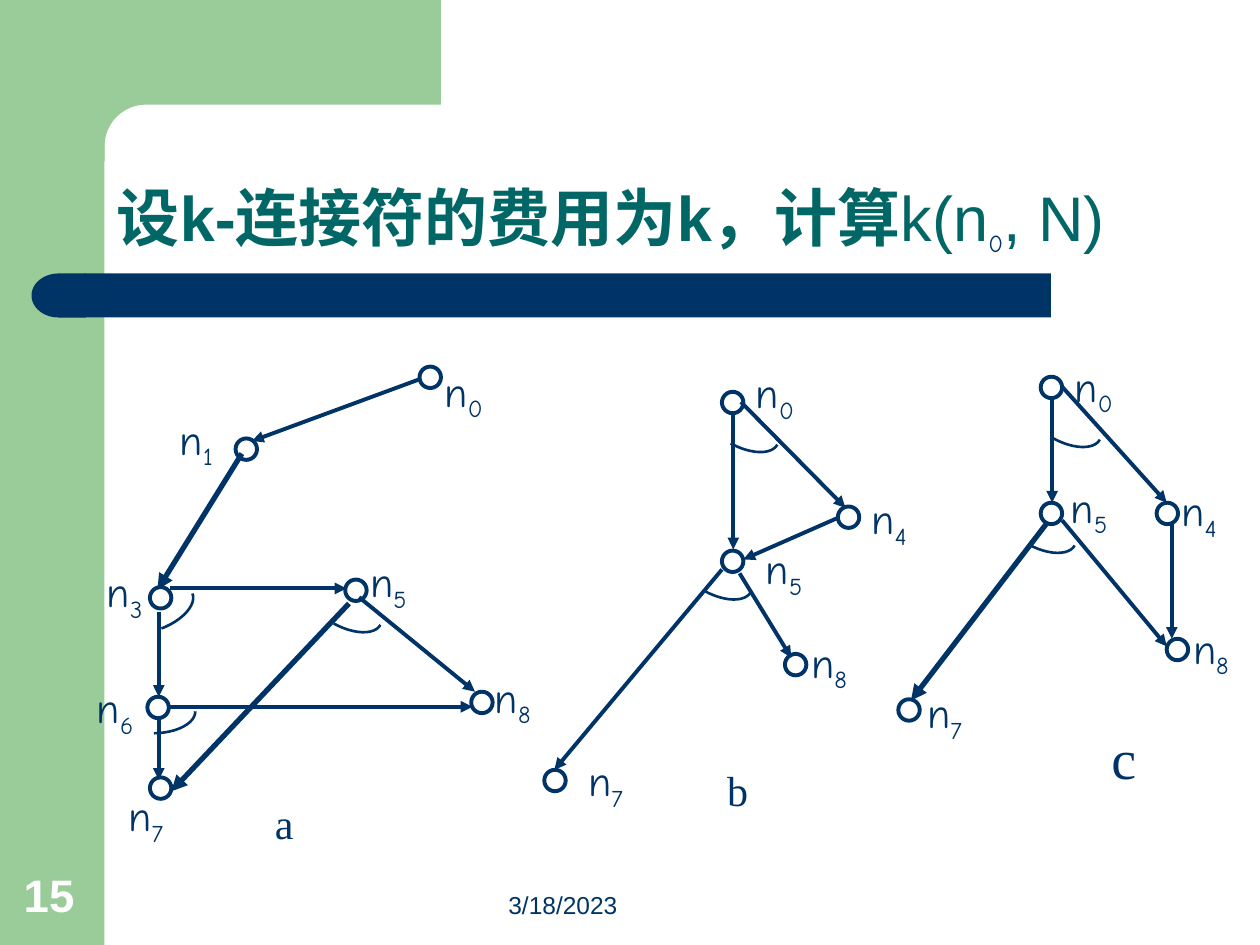
from math import cos, pi, sin

from lxml.etree import SubElement
from pptx import Presentation
from pptx.dml.color import RGBColor
from pptx.enum.shapes import MSO_CONNECTOR as Link, MSO_SHAPE as Kind
from pptx.enum.text import MSO_ANCHOR as Anchor, MSO_AUTO_SIZE as Fit, PP_ALIGN as Align
from pptx.oxml.ns import qn
from pptx.util import Inches, Pt

rgb = RGBColor.from_string
GREEN, NAVY, TEAL, WHITE = "99CC99", "003366", "006666", "FFFFFF"
DOT = 0.17

deck = Presentation()
deck.slide_width, deck.slide_height = Inches(10), Inches(7.5)
slide = deck.slides.add_slide(deck.slide_layouts[6])


def write(shapes, box, runs, frame, align=Align.LEFT):
    """Add a text box; each run is (text, colour, font values, baseline)."""
    text = shapes.add_textbox(*map(Inches, box)).text_frame
    for key, val in {"word_wrap": True, **frame}.items():
        setattr(text, key, val)
    para = text.paragraphs[0]
    para.alignment = align
    for words, color, form, base in runs:
        run = para.add_run()
        run.text = words
        for key, val in form.items():
            setattr(run.font, key, val)
        run.font.color.rgb = rgb(color)
        if base:
            run.font._element.set("baseline", str(base))
    return para


def paint(shape, fill=None, width=None):
    """Give a shape a plain fill, a navy outline, or neither."""
    shape.shadow.inherit = False
    if fill:
        shape.fill.solid()
        shape.fill.fore_color.rgb = rgb(fill)
    else:
        shape.fill.background()
    if width:
        shape.line.color.rgb = rgb(NAVY)
        shape.line.width = Pt(width)
    else:
        shape.line.fill.background()


# Green frame with a rounded inner corner, and navy title bar
decor = slide.shapes.add_group_shape().shapes
paint(decor.add_shape(Kind.RECTANGLE, 0, 0, Inches(0.83), Inches(7.5)), GREEN)
turn = [(1.16 - 0.33 * sin(i * pi / 24), 1.16 - 0.33 * cos(i * pi / 24)) for i in range(13)]
edge = [(3.5, 0.83), *turn, (0.83, 1.28), (0.5, 1.28), (0.5, 0)]
pen = decor.build_freeform(Inches(3.5), 0)
pen.add_line_segments([(Inches(x), Inches(y)) for x, y in edge], close=True)
paint(pen.convert_to_shape(), GREEN)
paint(decor.add_shape(Kind.RECTANGLE, *map(Inches, (0.67, 2.17, 7.67, 0.35))), NAVY)
cap = decor.add_shape(Kind.FLOWCHART_DELAY, *map(Inches, (0.25, 2.17, 0.43, 0.35)))
cap.rotation = 180
paint(cap, NAVY)

# Title, date and slide number
low = {"vertical_anchor": Anchor.BOTTOM}
head = {"name": "Arial", "size": Pt(36), "bold": False}
mark = {"name": "Comic Neue", "size": Pt(24)}
title = write(slide.shapes, (0.83, 0.83, 8.67, 1.25), [
    ("设k-连接符的费用为k，计算", TEAL, {**head, "bold": True}, 0),
    ("k(n", TEAL, head, 0),
    ("0", NAVY, mark, -25000),
    (", N)", TEAL, head, 0),
], low)
title.line_spacing = 0.9
write(slide.shapes, (2.67, 6.83, 2.33, 0.52),
      [("3/18/2023", NAVY, {"name": "Arial", "size": Pt(14)}, 0)], low, Align.RIGHT)
write(slide.shapes, (0.09, 6.83, 0.64, 0.53),
      [("15", WHITE, {"name": "Arial", "size": Pt(26), "bold": True}, 0)], low)

# Graphs: dots and tags by left and top, links by both ends and width,
# arcs by centre and angle, name by box and size
graphs = [
    {
        "dots": [(1.87, 3.48), (1.19, 4.66), (2.74, 4.6), (3.74, 5.49),
                 (1.17, 5.53), (1.19, 6.17), (3.33, 2.91)],
        "links": [(3.33, 3.01, 2, 3.5, 2.25), (1.92, 3.6, 1.25, 4.68, 3),
                  (1.26, 4.86, 1.26, 5.53, 2.25), (1.35, 4.67, 2.75, 4.67, 2.25),
                  (1.34, 5.61, 3.75, 5.61, 2.25), (2.85, 4.74, 3.77, 5.49, 2.25),
                  (2.77, 4.79, 1.36, 6.28, 3), (1.26, 5.69, 1.26, 6.19, 2.25)],
        "arcs": [(1.22, 4.83, 68.9), (1.22, 5.65, 89.4), (2.73, 4.8, 118.9)],
        "tags": [("0", 3.43, 2.85), ("1", 1.33, 3.23), ("3", 0.75, 4.44), ("5", 2.84, 4.36),
                 ("6", 0.67, 5.36), ("8", 3.83, 5.28), ("7", 0.92, 6.22)],
        "name": ("a", (1.67, 6.28, 1.17, 0.5), 24),
    },
    {
        "dots": [(5.73, 4.37), (6.65, 4.02), (4.32, 6.11), (6.23, 5.19), (5.73, 3.11)],
        "links": [(5.82, 3.27, 5.82, 4.36, 2.25), (5.88, 3.19, 6.71, 4.03, 2.25),
                  (6.65, 4.11, 5.9, 4.44, 2.25), (5.73, 4.52, 4.4, 6.11, 2.25),
                  (5.87, 4.55, 6.28, 5.22, 2.25)],
        "arcs": [(5.88, 3.37, 118.9), (5.67, 4.54, 118.9)],
        "tags": [("0", 5.9, 2.86), ("4", 6.82, 3.86), ("5", 5.98, 4.26),
                 ("7", 4.57, 5.94), ("8", 6.34, 5)],
        "name": ("b", (5.48, 6.02, 0.75, 0.5), 24),
    },
    {
        "dots": [(8.26, 2.99), (8.26, 3.99), (9.18, 3.99), (7.13, 5.55), (9.26, 5.07)],
        "links": [(8.35, 3.15, 8.35, 3.99, 2.25), (8.43, 3.07, 9.26, 3.99, 2.25),
                  (8.31, 4.15, 7.23, 5.56, 3), (8.43, 4.13, 9.26, 5.13, 2.25),
                  (9.3, 4.15, 9.3, 5.07, 2.25)],
        "arcs": [(8.24, 4.17, 118.9), (8.44, 3.33, 118.9)],
        "tags": [("0", 8.43, 2.81), ("4", 9.28, 3.8), ("5", 8.4, 3.77),
                 ("7", 7.26, 5.4), ("8", 9.37, 4.89)],
        "name": ("c", (8.38, 5.69, 1.08, 0.63), 32),
    },
]
grow = {"auto_size": Fit.SHAPE_TO_FIT_TEXT}

for graph in graphs:
    part = slide.shapes.add_group_shape().shapes

    # Arrows
    for *ends, width in graph["links"]:
        link = part.add_connector(Link.STRAIGHT, *map(Inches, ends))
        link.line.color.rgb = rgb(NAVY)
        link.line.width = Pt(width)
        SubElement(link.line._get_or_add_ln(), qn("a:tailEnd"), type="triangle")
        SubElement(link._element.spPr, qn("a:effectLst"))

    # Nodes
    for x, y in graph["dots"]:
        paint(part.add_shape(Kind.OVAL, *map(Inches, (x, y, DOT, DOT))), width=2.25)

    # Quarter arcs that tie the arrows of one connector
    for x, y, angle in graph["arcs"]:
        arc = part.add_shape(Kind.ARC, *map(Inches, (x - 0.17, y - 0.33, 0.34, 0.66)))
        arc.rotation = angle
        paint(arc, width=1.5)

    # Node tags and graph name
    for digit, x, y in graph["tags"]:
        write(part, (x, y, 0.75, 0.5),
              [("n", NAVY, mark, 0), (digit, NAVY, mark, -25000)], grow)
    name, box, size = graph["name"]
    write(part, box, [(name, NAVY, {"name": "Times New Roman", "size": Pt(size)}, 0)],
          grow, Align.CENTER)

deck.save("out.pptx")
